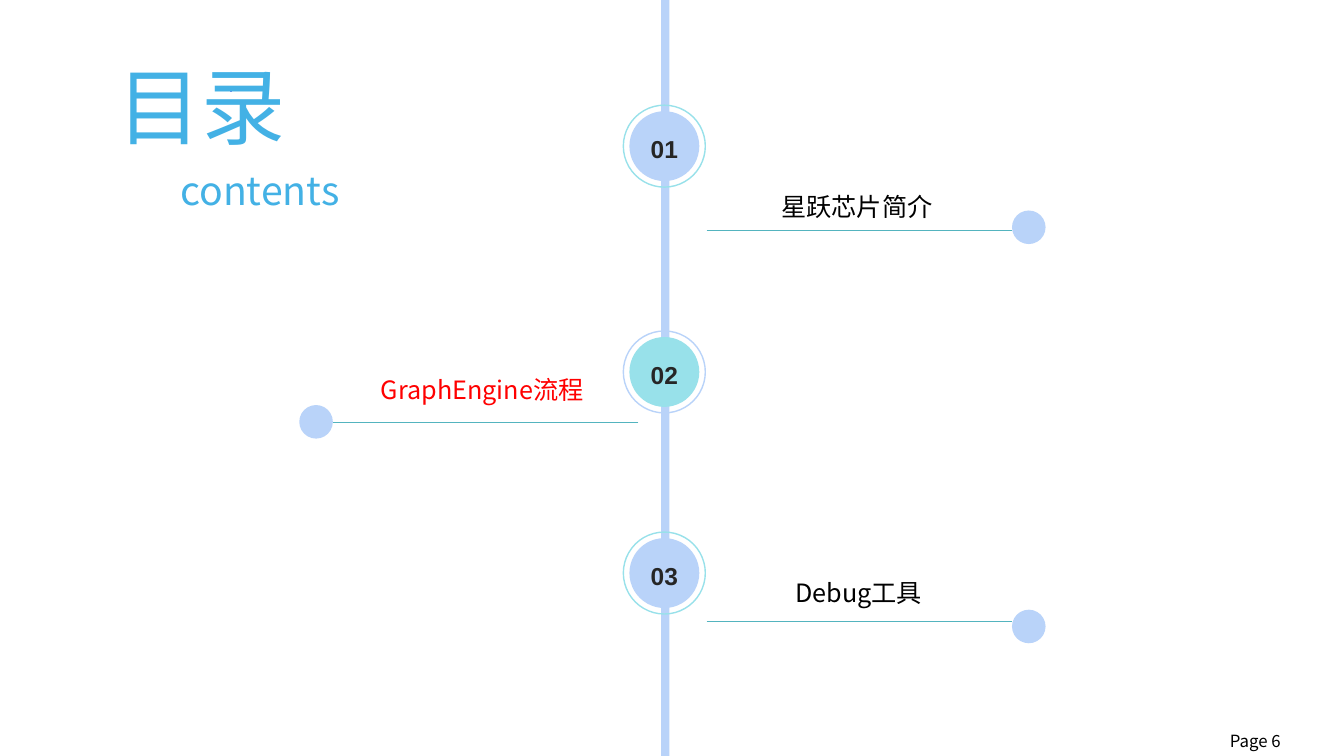
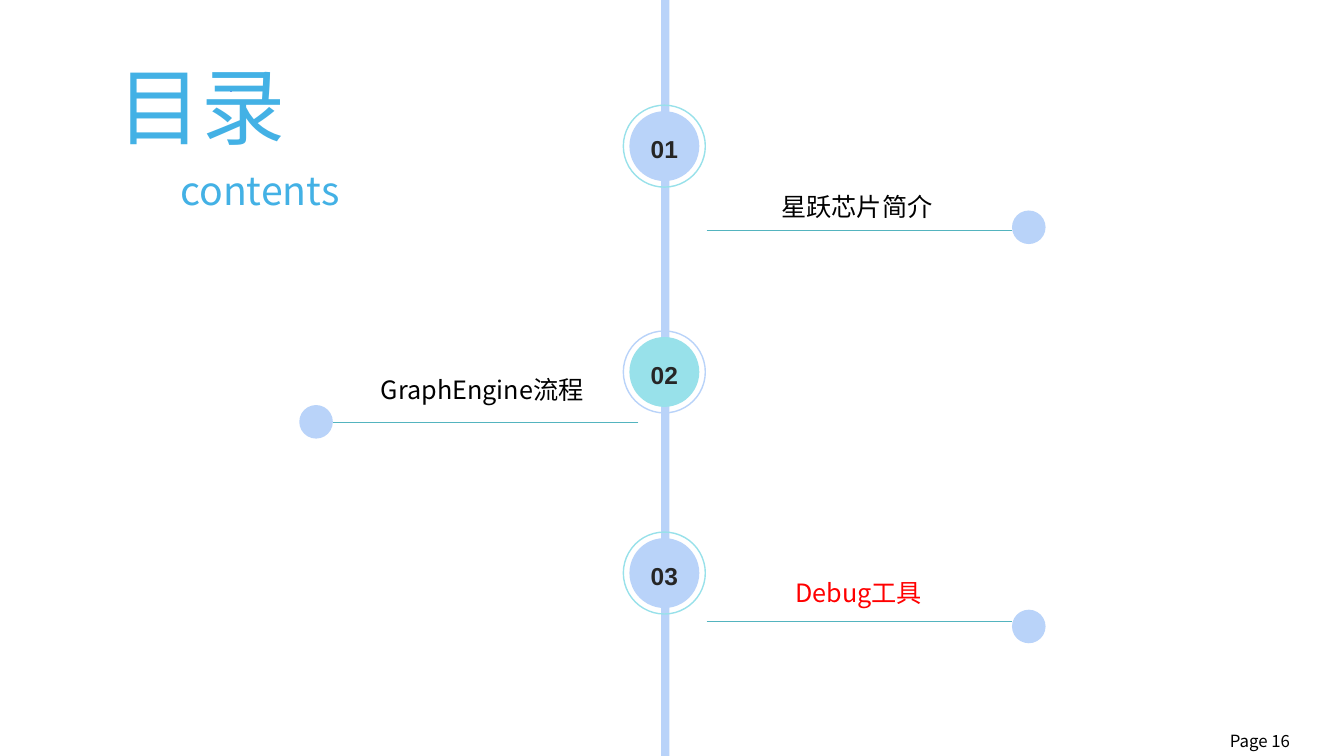
from dataclasses import dataclass

from lxml import etree
from pptx import Presentation
from pptx.dml.color import RGBColor
from pptx.enum.shapes import MSO_CONNECTOR, MSO_SHAPE
from pptx.enum.text import MSO_ANCHOR, MSO_AUTO_SIZE, PP_ALIGN
from pptx.oxml.ns import qn
from pptx.util import Inches, Pt

RECT, OVAL = MSO_SHAPE.RECTANGLE, MSO_SHAPE.OVAL
STRAIGHT, CURVE = MSO_CONNECTOR.STRAIGHT, MSO_CONNECTOR.CURVE
CENTER, MIDDLE = PP_ALIGN.CENTER, MSO_ANCHOR.MIDDLE
GROW = MSO_AUTO_SIZE.SHAPE_TO_FIT_TEXT
WIDTH, HEIGHT = Inches(13.33), Inches(7.5)


@dataclass(frozen=True)
class Theme:
    blue: str = "B9D3F9"
    teal: str = "98E1EA"
    title: str = "43B1E5"
    rule: str = "53B4BF"
    accent: str = "6096E6"
    number: str = "262626"
    text: str = "000000"
    active: str = "FF0000"
    title_font: str = "Noto Sans CJK JP"
    body_font: str = "Noto Sans CJK SC"
    number_font: str = "Arial"
    title_pt: float = 60
    subtitle_pt: float = 28
    entry_pt: float = 18
    number_pt: float = 17.5
    page_pt: float = 12
    ring_pt: float = 1
    rule_pt: float = 0.5


T = Theme()

# Places are percentages of the slide; diameters are percentages of its width
BADGE_X, BADGE, RING = 49.43, 5.2, 6.1
DOT, RULE_LENGTH = 2.5, 22.73
DOT_X = {1: 76.55, -1: 23.52}


@dataclass(frozen=True)
class Entry:
    label: str
    side: int  # 1 right of the spine, -1 left
    badge_y: float
    fill: str
    ring: str
    dot_y: float
    rule_y: float
    label_x: float
    label_y: float


ENTRIES = (
    Entry("星跃芯片简介", 1, 19.33, T.blue, T.teal, 30.07, 30.53, 57.39, 24.67),
    Entry("GraphEngine流程", -1, 49.2, T.teal, T.blue, 55.8, 55.87, 27.61, 48.8),
    Entry("Debug工具", 1, 75.8, T.blue, T.teal, 82.87, 82.13, 58.44, 75.73),
)


def across(share: float) -> int:
    return round(WIDTH * share / 100)


def down(share: float) -> int:
    return round(HEIGHT * share / 100)


def style_text(p, size: float, font: str, color: str, bold: bool = False) -> None:
    p.font.size = Pt(size)
    p.font.name = font
    p.font.bold = bold
    p.font.color.rgb = RGBColor.from_string(color)
    ea = etree.SubElement(p.font._element, qn("a:ea"))
    ea.set("typeface", font)


def add_text(slide, text: str, x: float, y: float, w: float, h: float,
             size: float, font: str, color: str) -> None:
    tf = slide.shapes.add_textbox(across(x), down(y), across(w), down(h)).text_frame
    tf.word_wrap = True
    tf.auto_size = GROW
    p = tf.paragraphs[0]
    p.text = text
    style_text(p, size, font, color)


def add_circle(slide, x: float, y: float, diameter: float,
               fill: str = "", line: str = ""):
    d = across(diameter)
    sp = slide.shapes.add_shape(OVAL, across(x) - d // 2, down(y) - d // 2, d, d)
    sp.shadow.inherit = False
    if fill:
        sp.fill.solid()
        sp.fill.fore_color.rgb = RGBColor.from_string(fill)
    else:
        sp.fill.background()
    if line:
        sp.line.color.rgb = RGBColor.from_string(line)
        sp.line.width = Pt(T.ring_pt)
    else:
        sp.line.fill.background()
    return sp


def add_line(slide, kind, x1: float, x2: float, y: float, color: str) -> None:
    line = slide.shapes.add_connector(kind, across(x1), down(y), across(x2), down(y))
    line.line.color.rgb = RGBColor.from_string(color)
    line.line.width = Pt(T.rule_pt)
    etree.SubElement(line._element.spPr, qn("a:effectLst"))


def add_entry(slide, number: int, entry: Entry, active: bool) -> None:
    # Numbered badge on the spine
    badge = add_circle(slide, BADGE_X, entry.badge_y, BADGE, fill=entry.fill)
    tf = badge.text_frame
    tf.vertical_anchor = MIDDLE
    p = tf.paragraphs[0]
    p.text = f"{number:02d}"
    p.alignment = CENTER
    p.line_spacing = 1.2
    style_text(p, T.number_pt, T.number_font, T.number, bold=True)
    add_circle(slide, BADGE_X, entry.badge_y, RING, line=entry.ring)

    # Rule with its end dot
    dot_x = DOT_X[entry.side]
    rule_end = dot_x - entry.side * DOT / 2
    add_circle(slide, dot_x, entry.dot_y, DOT, fill=T.blue)
    add_line(slide, STRAIGHT, rule_end - entry.side * RULE_LENGTH, rule_end,
             entry.rule_y, T.rule)

    # Label
    add_text(slide, entry.label, entry.label_x, entry.label_y, 19.05, 5.33,
             T.entry_pt, T.body_font, T.active if active else T.text)


def add_contents(prs, page: int, active: int) -> None:
    slide = prs.slides.add_slide(prs.slide_layouts[6])

    # Spine
    spine = slide.shapes.add_shape(RECT, across(49.2), 0, across(0.6), HEIGHT)
    spine.shadow.inherit = False
    spine.fill.solid()
    spine.fill.fore_color.rgb = RGBColor.from_string(T.blue)
    spine.line.fill.background()

    # Titles
    add_text(slide, "目录", 8.03, 6.53, 25, 14.8, T.title_pt, T.title_font, T.title)
    add_text(slide, "contents", 12.68, 21.33, 14.63, 7.6,
             T.subtitle_pt, T.title_font, T.title)
    add_line(slide, CURVE, 17.25, 17.1, 12.13, T.accent)

    # Entries
    for number, entry in enumerate(ENTRIES, 1):
        add_entry(slide, number, entry, number == active)

    # Footer
    add_text(slide, f"Page {page}", 90.77, 96, 8.7, 4, T.page_pt, T.body_font, T.text)


def main() -> None:
    prs = Presentation()
    prs.slide_width, prs.slide_height = WIDTH, HEIGHT
    for page, active in ((6, 2), (16, 3)):
        add_contents(prs, page, active)
    prs.save("out.pptx")


if __name__ == "__main__":
    main()
